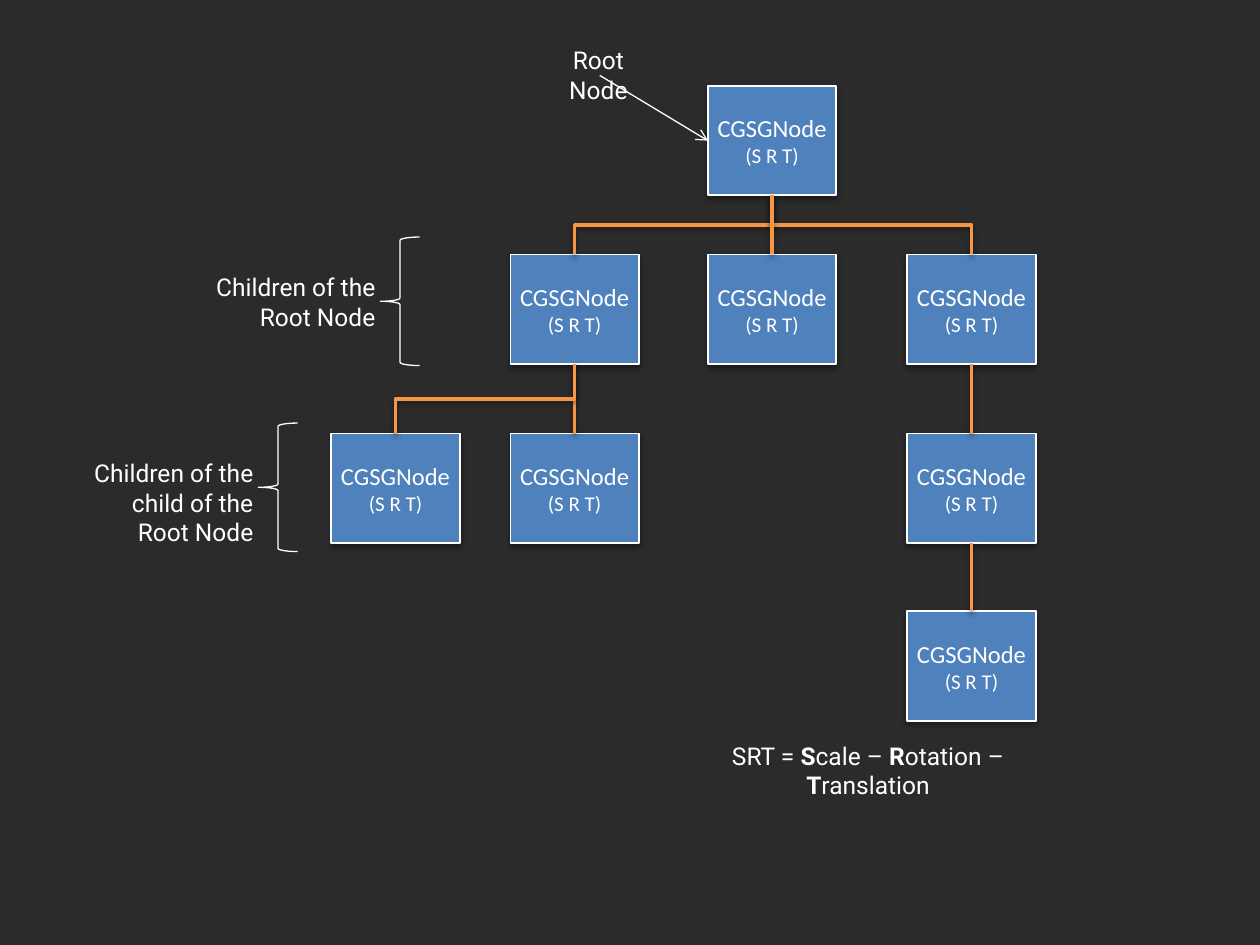
from lxml import etree
from pptx import Presentation
from pptx.dml.color import RGBColor
from pptx.enum.shapes import MSO_CONNECTOR, MSO_SHAPE
from pptx.enum.text import MSO_ANCHOR, PP_ALIGN
from pptx.oxml.ns import qn
from pptx.util import Cm, Pt

RECT, BRACE = MSO_SHAPE.RECTANGLE, MSO_SHAPE.LEFT_BRACE
LINE, ELBOW = MSO_CONNECTOR.STRAIGHT, MSO_CONNECTOR.ELBOW
MIDDLE, CENTER, RIGHT = MSO_ANCHOR.MIDDLE, PP_ALIGN.CENTER, PP_ALIGN.RIGHT
TOP, LEFT, BOTTOM = 0, 1, 2


def color(text):
    return RGBColor.from_string(text)


class Tree:
    back, ink, box, link = "2B2B2B", "FFFFFF", "4F81BD", "F79646"
    wide, high = Cm(2.59), Cm(2.21)

    def __init__(self, slide):
        self.slide = slide
        self.shapes = slide.shapes
        fill = slide.background.fill
        fill.solid()
        fill.fore_color.rgb = color(self.back)

    def effect(self, item, shadow):
        props = item._element.spPr
        for old in props.findall(qn("a:effectLst")):
            props.remove(old)
        group = etree.SubElement(props, qn("a:effectLst"))
        if shadow:
            outer = etree.SubElement(
                group, qn("a:outerShdw"), blurRad=str(Pt(3.1)),
                dist=str(Pt(1.6)), dir="5400000", rotWithShape="0")
            tint = etree.SubElement(outer, qn("a:srgbClr"), val="000000")
            etree.SubElement(tint, qn("a:alpha"), val="38000")

    def stroke(self, item, tint, width):
        item.line.color.rgb = color(tint)
        item.line.width = Pt(width)

    def style(self, run, size, face, bold=False):
        run.font.size = Pt(size)
        run.font.name = face
        run.font.bold = bold
        run.font.color.rgb = color(self.ink)

    def node(self, left, top):
        shape = self.shapes.add_shape(RECT, left, top, self.wide, self.high)
        shape.fill.solid()
        shape.fill.fore_color.rgb = color(self.box)
        self.stroke(shape, self.ink, 1)
        self.effect(shape, True)
        frame = shape.text_frame
        frame.margin_left = frame.margin_right = 0
        frame.vertical_anchor = MIDDLE
        frame.text = "CGSGNode\n(S R T)"
        for para, size in zip(frame.paragraphs, (14, 12)):
            para.alignment = CENTER
            self.style(para.runs[0], size, "Calibri")
        return shape

    def join(self, above, below):
        kind = LINE if above.left == below.left else ELBOW
        wire = self.shapes.add_connector(kind, 0, 0, 0, 0)
        wire.begin_connect(above, BOTTOM)
        wire.end_connect(below, TOP)
        if kind == ELBOW:
            self.turn(wire)
        self.stroke(wire, self.link, 2)
        self.effect(wire, True)

    def turn(self, wire):
        right = wire.end_x > wire.begin_x
        mid_x = (wire.begin_x + wire.end_x) // 2
        mid_y = (wire.begin_y + wire.end_y) // 2
        wire.width, wire.height = wire.height, wire.width
        wire.left = mid_x - wire.width // 2
        wire.top = mid_y - wire.height // 2
        frame = wire._element.spPr.find(qn("a:xfrm"))
        frame.set("rot", "16200000" if right else "5400000")
        frame.set("flipH", "1" if right else "0")

    def arrow(self, left, top, goal):
        wire = self.shapes.add_connector(LINE, left, top, left, top)
        wire.end_connect(goal, LEFT)
        self.stroke(wire, self.ink, 0.75)
        etree.SubElement(wire.line._get_or_add_ln(), qn("a:tailEnd"), type="arrow")
        self.effect(wire, False)

    def label(self, text, left, top, width, height, align=CENTER):
        frame = self.shapes.add_textbox(left, top, width, height).text_frame
        frame.word_wrap = True
        frame.margin_left = frame.margin_right = 0
        frame.margin_top = frame.margin_bottom = 0
        para = frame.paragraphs[0]
        para.alignment = align
        for spot, part in enumerate(text.split("*")):
            run = para.add_run()
            run.text = part
            self.style(run, 14, "Roboto", spot % 2 == 1)

    def level(self, text, left, top, height):
        brace = self.shapes.add_shape(BRACE, left, top, Cm(0.79), Cm(2.59))
        brace.fill.background()
        brace.shadow.inherit = False
        self.stroke(brace, self.ink, 0.75)
        width = Cm(3.4)
        self.label(text, left - width - Cm(0.1), top + Cm(0.71),
                   width, height, RIGHT)


deck = Presentation()
deck.slide_width, deck.slide_height = Cm(25.4), Cm(19.05)
tree = Tree(deck.slides.add_slide(deck.slide_layouts[6]))

cols = [Cm(x) for x in (6.68, 10.29, 14.27, 18.29)]
rows = [Cm(y) for y in (1.73, 5.13, 8.74, 12.32)]
spots = [(2, 0), (1, 1), (0, 2), (2, 1), (3, 1), (1, 2), (3, 2), (3, 3)]
nodes = {(col, row): tree.node(cols[col], rows[row]) for col, row in spots}

links = [
    ((2, 0), (1, 1)), ((2, 0), (3, 1)), ((2, 0), (2, 1)),
    ((3, 1), (3, 2)), ((3, 2), (3, 3)),
    ((1, 1), (1, 2)), ((1, 1), (0, 2)),
]
for above, below in links:
    tree.join(nodes[above], nodes[below])

tree.label("Root Node", Cm(10.92), Cm(0.91), Cm(2.29), Cm(0.6))
tree.arrow(Cm(12.09), Cm(1.52), nodes[2, 0])
tree.level("Children of the Root Node", Cm(7.67), Cm(4.78), Cm(1.2))
tree.level("Children of the child of the Root Node", Cm(5.21), Cm(8.53), Cm(1.8))
tree.label("SRT = *S*cale – *R*otation – *T*ranslation",
           Cm(13.74), Cm(14.94), Cm(7.52), Cm(0.6))

deck.save("out.pptx")
